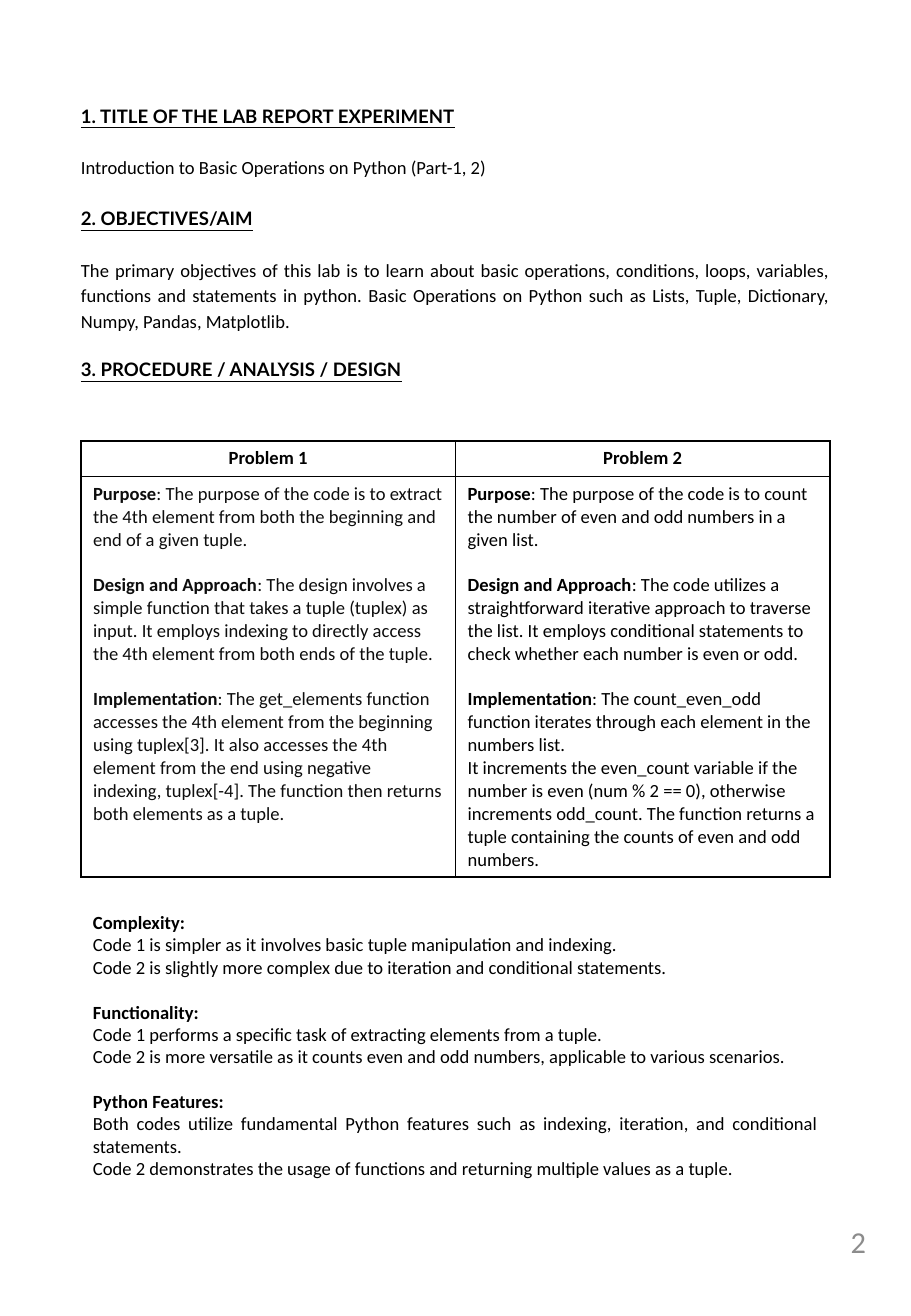
from lxml import etree
from pptx import Presentation
from pptx.dml.color import RGBColor
from pptx.enum.text import PP_ALIGN
from pptx.oxml.ns import qn
from pptx.util import Pt

LEFT, CENTER, RIGHT, JUSTIFY = PP_ALIGN.LEFT, PP_ALIGN.CENTER, PP_ALIGN.RIGHT, PP_ALIGN.JUSTIFY

BLACK, SOFT_BLACK, GREY, WHITE = "000000", "0D0D0D", "8C8C8C", "FFFFFF"
BODY_FONT, HEADING_FONT = "Calibri", "Lato"
TEXT_SIZE, PAGE_NUMBER_SIZE = 11, 18
MARGIN, CONTENT_WIDTH = 48, 444
SECTION_GAP, BLOCK_GAP = 15.3, 13.4

SECTIONS = [
    ("1. TITLE OF THE LAB REPORT EXPERIMENT",
     "Introduction to Basic Operations on Python (Part-1, 2)"),
    ("2. OBJECTIVES/AIM",
     "The primary objectives of this lab is to learn about basic operations, conditions, loops, "
     "variables, functions and statements in python. Basic Operations on Python such as Lists, "
     "Tuple, Dictionary, Numpy, Pandas, Matplotlib."),
    ("3. PROCEDURE / ANALYSIS / DESIGN", None),
]

# Each problem: heading, text colour, then (label, text, further lines)
PROBLEMS = [
    ("Problem 1", SOFT_BLACK, [
        ("Purpose", ": The purpose of the code is to extract the 4th element from both the "
         "beginning and end of a given tuple.", []),
        ("Design and Approach", ": The design involves a simple function that takes a tuple "
         "(tuplex) as input. It employs indexing to directly access the 4th element from both "
         "ends of the tuple.", []),
        ("Implementation", ": The get_elements function accesses the 4th element from the "
         "beginning using tuplex[3]. It also accesses the 4th element from the end using "
         "negative indexing, tuplex[-4]. The function then returns both elements as a tuple.", []),
    ]),
    ("Problem 2", BLACK, [
        ("Purpose", ": The purpose of the code is to count the number of even and odd numbers "
         "in a given list.", []),
        ("Design and Approach", ": The code utilizes a straightforward iterative approach to "
         "traverse the list. It employs conditional statements to check whether each number is "
         "even or odd.", []),
        ("Implementation", ": The count_even_odd function iterates through each element in the "
         "numbers list.",
         ["It increments the even_count variable if the number is even (num % 2 == 0), otherwise "
          "increments odd_count. The function returns a tuple containing the counts of even and "
          "odd numbers."]),
    ]),
]

COMPARISON = [
    ("Complexity:", [
        "Code 1 is simpler as it involves basic tuple manipulation and indexing.",
        "Code 2 is slightly more complex due to iteration and conditional statements."]),
    ("Functionality:", [
        "Code 1 performs a specific task of extracting elements from a tuple.",
        "Code 2 is more versatile as it counts even and odd numbers, applicable to various "
        "scenarios."]),
    ("Python Features:", [
        "Both codes utilize fundamental Python features such as indexing, iteration, and "
        "conditional statements.",
        "Code 2 demonstrates the usage of functions and returning multiple values as a tuple."]),
]


def rgb(hex_color):
    return RGBColor.from_string(hex_color)


def add_text_frame(slide, left, top, width, height, inset=True):
    frame = slide.shapes.add_textbox(Pt(left), Pt(top), Pt(width), Pt(height)).text_frame
    frame.word_wrap = True
    if not inset:
        frame.margin_left = frame.margin_right = frame.margin_top = frame.margin_bottom = 0
    return frame


def add_paragraph(frame, text, align=JUSTIFY, size=TEXT_SIZE, font=BODY_FONT, color=BLACK,
                  bold=False, gap=0, spacing=1.0):
    """Append a paragraph, using the frame's first one while it is still empty."""
    first = frame.paragraphs[0]
    paragraph = frame.add_paragraph() if first.runs else first
    paragraph.alignment = align
    paragraph.space_before = Pt(gap)
    paragraph.line_spacing = spacing
    paragraph.font.size = Pt(size)
    paragraph.font.name = font
    paragraph.font.bold = bold
    paragraph.font.color.rgb = rgb(color)
    paragraph.add_run().text = text
    return paragraph


def set_borders(cell, color, width):
    properties = cell._tc.get_or_add_tcPr()
    for index, side in enumerate(("a:lnL", "a:lnR", "a:lnT", "a:lnB")):
        line = etree.Element(qn(side), w=str(Pt(width)))
        fill = etree.SubElement(line, qn("a:solidFill"))
        etree.SubElement(fill, qn("a:srgbClr"), val=color)
        properties.insert(index, line)


def add_sections(slide):
    frame = add_text_frame(slide, MARGIN, 60, CONTENT_WIDTH, 180, inset=False)
    for index, (heading, text) in enumerate(SECTIONS):
        paragraph = add_paragraph(frame, heading, font=HEADING_FONT, bold=True,
                                  gap=SECTION_GAP if index else 0, spacing=1.15 if text else 1.0)
        paragraph.font.underline = True
        if text:
            add_paragraph(frame, text, gap=SECTION_GAP, spacing=1.15)


def add_problem_table(slide):
    row_heights = (21, 237.5)
    table = slide.shapes.add_table(len(row_heights), len(PROBLEMS), Pt(MARGIN), Pt(261.4),
                                   Pt(CONTENT_WIDTH), Pt(sum(row_heights))).table
    table.first_row = table.horz_banding = False
    for row, height in zip(table.rows, row_heights):
        row.height = Pt(height)
    for column, (heading, color, parts) in enumerate(PROBLEMS):
        table.columns[column].width = Pt(CONTENT_WIDTH / len(PROBLEMS))
        header, body = table.cell(0, column), table.cell(1, column)
        for cell in (header, body):
            cell.fill.solid()
            cell.fill.fore_color.rgb = rgb(WHITE)
            set_borders(cell, BLACK, 1)
        add_paragraph(header.text_frame, heading, align=CENTER, bold=True)
        for index, (label, text, further_lines) in enumerate(parts):
            paragraph = add_paragraph(body.text_frame, label, align=LEFT, color=color,
                                      gap=BLOCK_GAP if index else 0)
            paragraph.runs[0].font.bold = True
            paragraph.add_run().text = text
            for line in further_lines:
                add_paragraph(body.text_frame, line, align=LEFT, color=color)


def add_comparison(slide):
    frame = add_text_frame(slide, MARGIN, 536.4, CONTENT_WIDTH, 167)
    for index, (heading, lines) in enumerate(COMPARISON):
        add_paragraph(frame, heading, bold=True, gap=BLOCK_GAP if index else 0)
        for line in lines:
            add_paragraph(frame, line)


def main():
    presentation = Presentation()
    presentation.slide_width, presentation.slide_height = Pt(540), Pt(780)
    slide = presentation.slides.add_slide(presentation.slide_layouts[6])
    add_sections(slide)
    page_number = add_text_frame(slide, 388.8, 725, 124.6, 38.9, inset=False)
    add_paragraph(page_number, "2", align=RIGHT, size=PAGE_NUMBER_SIZE, color=GREY)
    add_problem_table(slide)
    add_comparison(slide)
    presentation.save("out.pptx")


if __name__ == "__main__":
    main()
